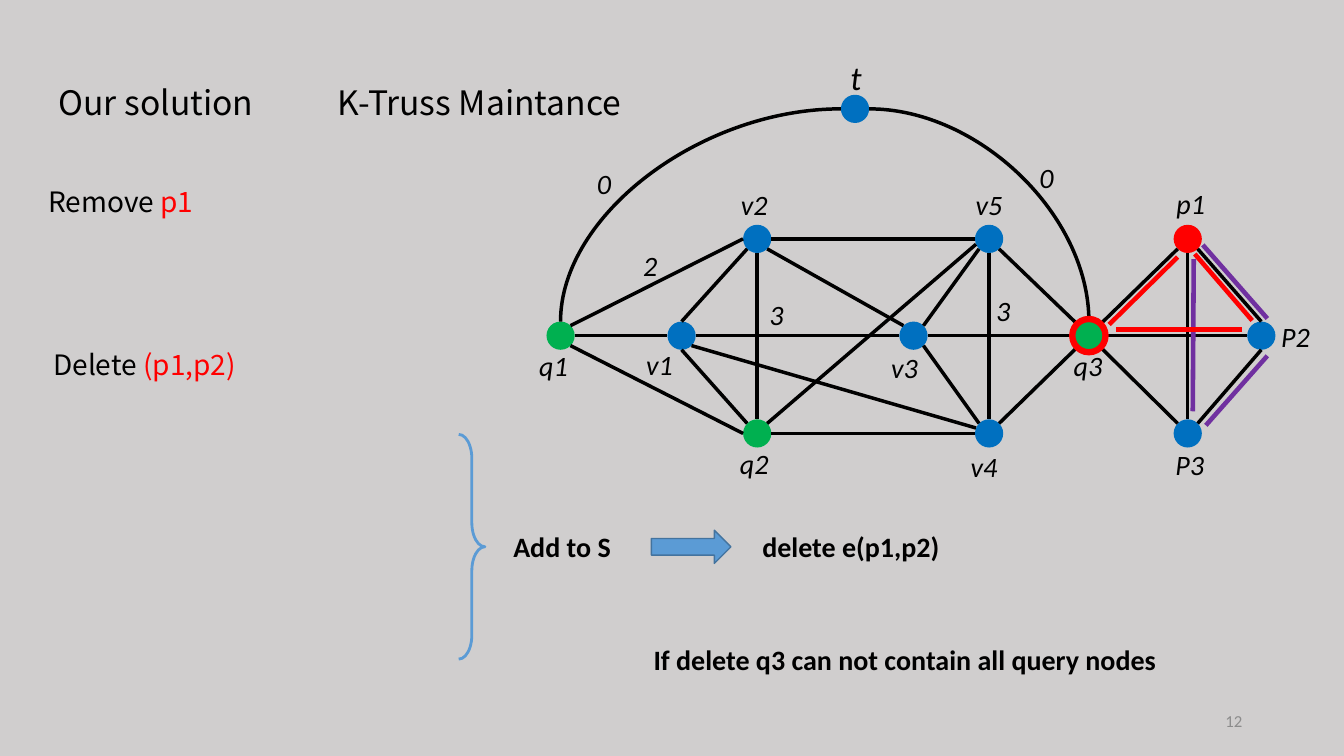
from math import cos, radians, sin

from lxml import etree
from pptx import Presentation
from pptx.dml.color import RGBColor
from pptx.enum.shapes import MSO_CONNECTOR, MSO_SHAPE
from pptx.enum.text import MSO_ANCHOR, MSO_AUTO_SIZE, PP_ALIGN
from pptx.oxml.ns import qn
from pptx.util import Inches, Pt

LEFT, CENTER, RIGHT = PP_ALIGN.LEFT, PP_ALIGN.CENTER, PP_ALIGN.RIGHT
TOP, MIDDLE = MSO_ANCHOR.TOP, MSO_ANCHOR.MIDDLE
STRAIGHT, CURVE = MSO_CONNECTOR.STRAIGHT, MSO_CONNECTOR.CURVE
OVAL, BRACE, ARROW = MSO_SHAPE.OVAL, MSO_SHAPE.RIGHT_BRACE, MSO_SHAPE.RIGHT_ARROW

BLACK, RED, BLUE, GREEN = "000000", "FF0000", "0070C0", "00B050"
PURPLE, ACCENT, ACCENT_DARK = "7030A0", "5B9BD5", "43739E"
BACKGROUND, GREY = "D0CECE", "8C8C8C"
BODY, HEAD = "Calibri", "Noto Sans CJK SC"

WIDTH, HEIGHT = 13.33, 7.5
RADIUS = 0.14
LABEL = (0.58, 0.44)
APEX, UPPER, MID, LOWER = 1.08, 2.37, 3.33, 4.3

TITLE = ((0.48, 0.56, 2.21, 0.64), [("Our solution", BLACK)], 24)
HEADINGS = [
    ((3.25, 0.56, 3.16, 0.64), [("K-Truss Maintance", BLACK)], 24),
    ((0.38, 1.61, 1.71, 0.61), [("Remove ", BLACK), ("p1", RED)], 20),
    ((0.43, 3.23, 2.1, 0.61), [("Delete", BLACK), (" (p1,p2)", RED)], 20),
]
NODES = {
    "q1": (5.56, MID, GREEN, (-0.07, 0.3)),
    "q2": (7.51, LOWER, GREEN, (-0.03, 0.3)),
    "q3": (10.8, MID, GREEN, (-0.01, 0.3)),
    "v1": (6.76, MID, BLUE, (-0.22, 0.29)),
    "v2": (7.51, UPPER, BLUE, (-0.03, -0.34)),
    "v3": (9.06, MID, BLUE, (-0.09, 0.32)),
    "v4": (9.81, LOWER, BLUE, (-0.05, 0.33)),
    "v5": (9.81, UPPER, BLUE, (0, -0.34)),
    "t": (8.48, APEX, BLUE, (0.01, -0.34)),
    "p1": (11.78, UPPER, RED, (0.03, -0.35)),
    "P2": (12.51, MID, BLUE, (0.34, 0.01)),
    "P3": (11.78, LOWER, BLUE, (0.02, 0.31)),
}
COMPASS = {"E": 0, "SE": 45, "S": 90, "SW": 135, "WSW": 157.5, "W": 180,
           "WNW": 202.5, "NW": 225, "N": 270, "NE": 315}
EDGES = [
    "q1 E v1 W", "v1 E v3 W", "v3 E q3 W", "q3 E P2 W",
    "p1 SE P2 N", "p1 SW q3 NE", "p1 S P3 N", "P2 S P3 NE",
    "q3 SE P3 NW", "q3 SW v4 NE", "v5 S v4 N", "v5 SE q3 NW",
    "v5 SW v3 NE", "v3 SE v4 NW", "v2 S q2 N", "v2 SW v1 N",
    "v1 S q2 NW", "v2 W q1 NE", "q1 SE q2 W", "q2 E v4 W",
    "v2 E v5 W", "v1 SE v4 WNW", "v5 WSW q2 NE", "v2 SE v3 NW",
]
ARCS = ["t W q1 N", "t E q3 N"]
WEIGHTS = [("0", 5.99, 1.82), ("0", 10.38, 1.76), ("2", 6.45, 2.64),
           ("3", 7.7, 3.12), ("3", 9.95, 3.08)]
TRIANGLES = [
    (PURPLE, (11.93, 2.43), (12.57, 3.16)),
    (PURPLE, (12.57, 3.53), (11.96, 4.22)),
    (PURPLE, (11.84, 2.57), (11.83, 4.08)),
    (RED, (11.68, 2.55), (11, 3.22)),
    (RED, (12.32, 3.27), (11.07, 3.27)),
    (RED, (12.42, 3.18), (11.85, 2.52)),
]
STEPS = [
    ((4.86, 5.2, 1.43, 0.44), "Add to S"),
    ((7.41, 5.2, 2.06, 0.44), "delete e(p1,p2)"),
    ((6.33, 6.33, 5.29, 0.44), "If delete q3 can not contain all query nodes"),
]


def rgb(color):
    return RGBColor.from_string(color)


def inches(values):
    return [Inches(v) for v in values]


def write(sp, runs, size, font=BODY, align=CENTER, anchor=TOP, wrap=True,
          spacing=None, bold=False, italic=False):
    tf = sp.text_frame
    tf.word_wrap = wrap
    tf.auto_size = MSO_AUTO_SIZE.NONE
    tf.vertical_anchor = anchor
    p = tf.paragraphs[0]
    p.alignment = align
    if spacing:
        p.line_spacing = spacing
    for text, color in runs:
        r = p.add_run()
        r.text = text
        r.font.name = font
        r.font.size = Pt(size)
        r.font.bold = bold
        r.font.italic = italic
        r.font.color.rgb = rgb(color)


def add_text(s, box, runs, size, **style):
    write(s.shapes.add_textbox(*inches(box)), runs, size, **style)


def add_label(s, text, x, y, size=20):
    w, h = LABEL
    add_text(s, (x - w / 2, y - h / 2, w, h), [(text, BLACK)], size, italic=True)


def add_shape(s, kind, box, fill=None, line=None, weight=1):
    sp = s.shapes.add_shape(kind, *inches(box))
    sp.shadow.inherit = False
    if fill:
        sp.fill.solid()
        sp.fill.fore_color.rgb = rgb(fill)
    else:
        sp.fill.background()
    if line:
        sp.line.color.rgb = rgb(line)
        sp.line.width = Pt(weight)
    else:
        sp.line.fill.background()
    return sp


def add_circle(s, x, y, radius, **style):
    add_shape(s, OVAL, (x - radius, y - radius, 2 * radius, 2 * radius), **style)


def add_line(s, start, end, color=BLACK, weight=2.5, kind=STRAIGHT):
    c = s.shapes.add_connector(kind, *inches(start + end))
    c.line.color.rgb = rgb(color)
    c.line.width = Pt(weight)
    etree.SubElement(c._element.spPr, qn("a:effectLst"))
    return c


def rim(node, side):
    x, y = NODES[node][:2]
    angle = radians(COMPASS[side])
    return x + RADIUS * cos(angle), y + RADIUS * sin(angle)


def ends(edge):
    a, side_a, b, side_b = edge.split()
    return rim(a, side_a), rim(b, side_b)


def add_graph(s):
    for name, (x, y, color, (dx, dy)) in NODES.items():
        add_circle(s, x, y, RADIUS, fill=color)
        add_label(s, name, x + dx, y + dy, 24 if name == "t" else 20)
    for edge in EDGES:
        add_line(s, *ends(edge))
    for arc in ARCS:
        c = add_line(s, *ends(arc), kind=CURVE)
        c._element.spPr.find(qn("a:prstGeom")).set("prst", "curvedConnector2")
    for weight in WEIGHTS:
        add_label(s, *weight)
    for color, start, end in TRIANGLES:
        add_line(s, start, end, color, 3.25)
    add_circle(s, *NODES["q3"][:2], 0.165, line=RED, weight=4.5)


def main():
    prs = Presentation()
    prs.slide_width, prs.slide_height = inches((WIDTH, HEIGHT))
    s = prs.slides.add_slide(prs.slide_layouts[5])
    s.background.fill.solid()
    s.background.fill.fore_color.rgb = rgb(BACKGROUND)

    heading = dict(font=HEAD, align=LEFT, wrap=False, spacing=1.5)
    box, runs, size = TITLE
    title = s.shapes.title
    title.left, title.top, title.width, title.height = inches(box)
    write(title, runs, size, **heading)
    for box, runs, size in HEADINGS:
        add_text(s, box, runs, size, **heading)

    add_graph(s)

    brace = add_shape(s, BRACE, (4.55, 4.31, 0.26, 2.23), line=ACCENT, weight=2)
    brace.adjustments[0] = 0.92
    add_shape(s, ARROW, (6.46, 5.26, 0.79, 0.33), fill=ACCENT, line=ACCENT_DARK)
    for box, text in STEPS:
        add_text(s, box, [(text, BLACK)], 20, bold=True)
    add_text(s, (9.42, 6.95, 3, 0.4), [("12", GREY)], 12, align=RIGHT, anchor=MIDDLE)
    prs.save("out.pptx")


if __name__ == "__main__":
    main()
